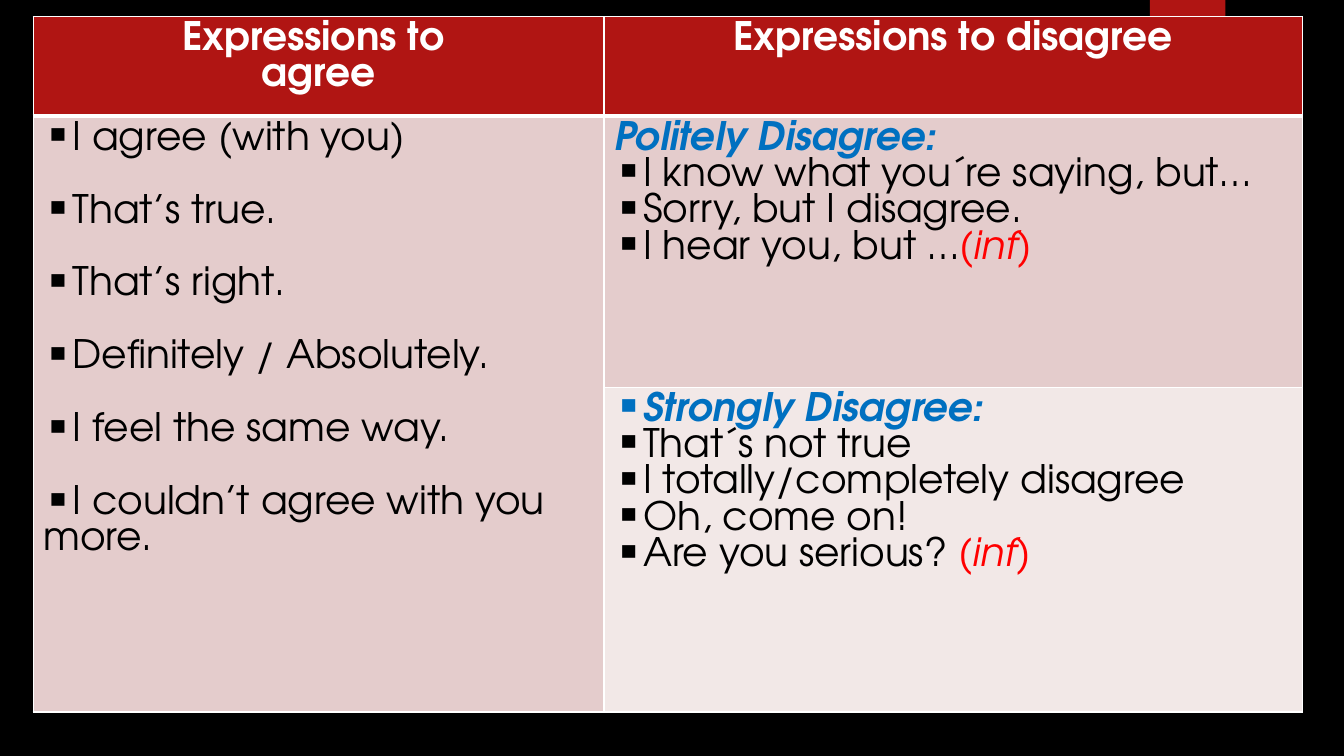
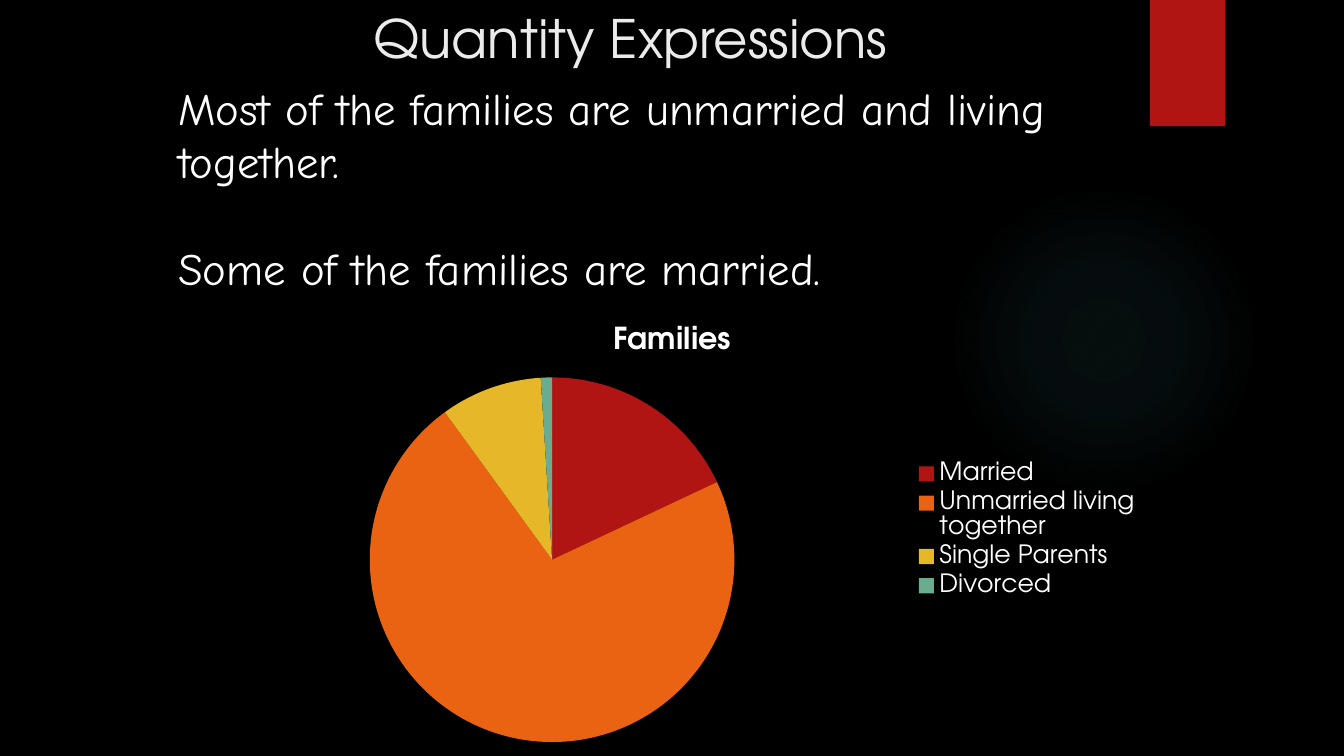
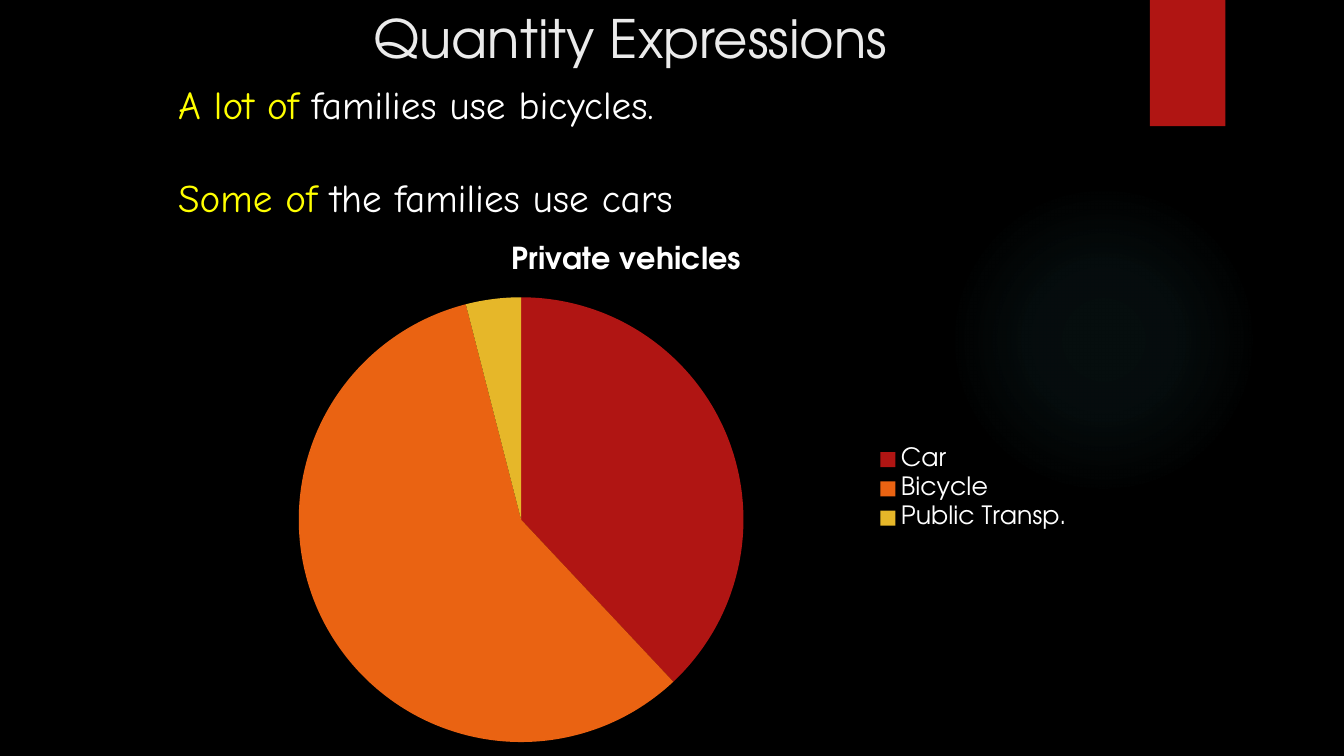
"""Build three slides on agreeing, disagreeing and quantity expressions."""
import lxml.etree
import pptx
import pptx.chart.data
import pptx.dml.color
import pptx.enum.chart
import pptx.enum.shapes
import pptx.enum.text
import pptx.oxml
import pptx.oxml.ns
import pptx.util

Cm = pptx.util.Cm
Pt = pptx.util.Pt
qn = pptx.oxml.ns.qn
CENTER = pptx.enum.text.PP_ALIGN.CENTER

HUES = {
    "black": "000000", "white": "FFFFFF", "pale": "EBEBEB", "red": "B01513",
    "orange": "EA6312", "gold": "E6B729", "green": "6AAC90", "teal": "50B9C1",
    "blue": "0070C0", "bright": "FF0000", "yellow": "FFFF00",
    "rose": "E4CCCC", "blush": "F2E8E7",
}
SLICES = ("red", "orange", "gold", "green")
SANS = "TeX Gyre Adventor"
HAND = "Comic Neue"
LOOKS = {
    "head": ("white", True, False),
    "topic": ("blue", True, True),
    "say": ("black", False, False),
    "slang": ("bright", False, True),
    "title": ("pale", False, False),
    "plain": ("white", False, False),
    "key": ("yellow", False, False),
}


def rgb(hue):
    """Return the named colour."""
    return pptx.dml.color.RGBColor.from_string(HUES[hue])


def paint(fill, hue):
    """Fill with one colour."""
    fill.solid()
    fill.fore_color.rgb = rgb(hue)


def node(body):
    """Parse one drawing element, given without its outer prefix."""
    tag, rest = body.split(None, 1)
    return pptx.oxml.parse_xml(f"<a:{tag} {pptx.oxml.ns.nsdecls('a')} {rest}")


def style(font, look):
    """Apply a look's colour, weight and slant to a font."""
    hue, font.bold, font.italic = LOOKS[look]
    font.color.rgb = rgb(hue)


def write(frame, lines, face, size, gap=0, align=None, dots=None):
    """Write lines of (text, look) parts, with bullets from line number dots on."""
    for num, parts in enumerate(lines):
        par = frame.add_paragraph() if num else frame.paragraphs[0]
        par.alignment = align
        if num and gap:
            par.space_before = Pt(gap)
        if dots is not None and num >= dots:
            hue = HUES[LOOKS[parts[0][1]][0]]
            props = par._p.get_or_add_pPr()
            props.append(node(f'buClr ><a:srgbClr val="{hue}"/></a:buClr>'))
            props.append(node('buChar char="▪"/>'))
        par.font.name, par.font.size = face, Pt(size)
        for text, look in parts:
            run = par.add_run()
            run.text = text
            style(par.font if len(parts) == 1 else run.font, look)


def add_decor(prs, slide):
    """Put the background, glow and red tab on the master by way of a slide."""
    master = prs.slide_master
    paint(master.background.fill, "black")
    kinds = pptx.enum.shapes.MSO_SHAPE
    glow = slide.shapes.add_shape(kinds.OVAL, Cm(23.9), Cm(4.65), Cm(7.82), Cm(7.82))
    tab = slide.shapes.add_shape(kinds.RECTANGLE, Cm(28.98), 0, Cm(1.9), Cm(3.18))
    stops = "".join(
        f'<a:gs pos="{pos}000"><a:srgbClr val="{HUES["teal"]}">'
        f'<a:alpha val="{alpha}000"/></a:srgbClr></a:gs>'
        for pos, alpha in ((0, 7), (36, 6), (69, 0)))
    glow.shadow.inherit = False
    glow._element.spPr.insert(2, node(
        f'gradFill ><a:gsLst>{stops}</a:gsLst><a:path path="circle">'
        '<a:fillToRect l="50000" t="50000" r="50000" b="50000"/></a:path></a:gradFill>'))
    tab.shadow.inherit = False
    paint(tab.fill, "red")
    tab._element.spPr.find(qn("a:effectLst")).append(node(
        f'outerShdw blurRad="{Pt(3)}" dist="{Pt(2)}" dir="5400000">'
        f'<a:srgbClr val="{HUES["black"]}"><a:alpha val="45000"/></a:srgbClr></a:outerShdw>'))
    for num, shape in enumerate((glow, tab)):
        shape.line.fill.background()
        shape._element.nvSpPr.cNvPr.set("id", str(100 + num))
        master.shapes.element.insert(2 + num, shape._element)


def fill_cell(cell, hue, head=False):
    """Give a cell its white borders and fill."""
    props = cell._tc.get_or_add_tcPr()
    for side in "LRTB":
        wide = Pt(3 if head and side == "B" or not head and side == "T" and hue is None else 1)
        props.append(node(
            f'ln{side} w="{wide}"><a:solidFill><a:srgbClr val="{HUES["white"]}"/>'
            f'</a:solidFill></a:ln{side}>'))
    paint(cell.fill, hue)


def add_grid(slide):
    """Add the table of expressions to agree and to disagree."""
    cols, rows = (14.38, 17.6), (2.51, 6.83, 8.18)
    grid = slide.shapes.add_table(
        3, 2, Cm(0.84), Cm(0.42), Cm(sum(cols)), Cm(sum(rows))).table
    for col, width in zip(grid.columns, cols):
        col.width = Cm(width)
    for row, height, hue in zip(grid.rows, rows, ("red", "rose", "blush")):
        row.height = Cm(height)
        for cell in row.cells:
            fill_cell(cell, hue, hue == "red")
    grid.cell(1, 0).merge(grid.cell(2, 0))
    agree = ("I agree (with you)", "That’s true.", "That’s right.",
             "Definitely / Absolutely.", "I feel the same way.",
             "I couldn’t agree with you more.")
    polite = ("I know what you´re saying, but…", "Sorry, but I disagree.")
    strong = ("That´s not true", "I totally/completely disagree", "Oh, come on!")

    def say(texts):
        """Turn texts into spoken lines."""
        return [[(text, "say")] for text in texts]

    def put(row, col, lines, **more):
        """Write lines into one cell."""
        write(grid.cell(row, col).text_frame, lines, SANS, 28, **more)

    put(0, 0, [[("Expressions to ", "head")], [("agree", "head")]], align=CENTER)
    put(0, 1, [[("Expressions to disagree", "head")]], align=CENTER)
    put(1, 0, say(agree), gap=26, dots=0)
    put(1, 1, [[("Politely Disagree:", "topic")], *say(polite),
               [("I hear you, but …", "say"), ("(inf)", "slang")]], dots=1)
    put(2, 1, [[("Strongly Disagree:", "topic")], *say(strong),
               [("Are you serious? ", "say"), ("(inf)", "slang")]], dots=0)


def add_title(slide, text):
    """Place and format the title."""
    title = slide.shapes.title
    title.left, title.top, title.width, title.height = Cm(5.51), 0, Cm(20.75), Cm(1.9)
    title.text_frame.vertical_anchor = pptx.enum.text.MSO_ANCHOR.MIDDLE
    write(title.text_frame, [[(text, "title")]], SANS, 37.8, align=CENTER)


def add_text(slide, lines, size, height):
    """Add the example sentences, one empty line apart."""
    frame = slide.shapes.add_textbox(Cm(4.24), Cm(1.9), Cm(24.33), Cm(height)).text_frame
    frame.word_wrap = True
    frame.auto_size = pptx.enum.text.MSO_AUTO_SIZE.SHAPE_TO_FIT_TEXT
    write(frame, lines, HAND, size, gap=round(size * 1.19))


def add_pie(slide, name, parts, box):
    """Add a pie chart with its title and legend."""
    data = pptx.chart.data.CategoryChartData()
    data.categories = list(parts)
    data.add_series(name, list(parts.values()))
    chart = slide.shapes.add_chart(
        pptx.enum.chart.XL_CHART_TYPE.PIE, *map(Cm, box), data).chart
    chart.font.name, chart.font.size = SANS, Pt(18)
    chart.font.color.rgb = rgb("white")
    chart.has_title = True
    write(chart.chart_title.text_frame, [[(name, "head")]], SANS, 21.6)
    chart.chart_title.include_in_layout = False
    chart.has_legend = True
    chart.legend.position = pptx.enum.chart.XL_LEGEND_POSITION.RIGHT
    chart.legend.include_in_layout = False
    plot = chart.plots[0]
    plot.vary_by_categories = True
    for num, hue in enumerate(SLICES[:len(parts)]):
        paint(plot.series[0].points[num].format.fill, hue)


def main():
    """Build and save the slides."""
    prs = pptx.Presentation()
    prs.slide_width, prs.slide_height = Cm(33.87), Cm(19.05)
    plain, named = prs.slide_layouts[6], prs.slide_layouts[5]

    slide = prs.slides.add_slide(plain)
    add_decor(prs, slide)
    add_grid(slide)

    slide = prs.slides.add_slide(named)
    add_title(slide, "Quantity Expressions")
    add_pie(slide, "Families",
            {"Married": 18, "Unmarried living together": 72,
             "Single Parents": 9, "Divorced": 1},
            (4.88, 7.65, 24.13, 11.4))
    add_text(slide, [
        [("Most of the families are unmarried and living together.", "plain")],
        [("Some of the families are married.", "plain")]], 32, 5.74)

    slide = prs.slides.add_slide(named)
    add_title(slide, "Quantity Expressions")
    add_pie(slide, "Private vehicles",
            {"Car": 38, "Bicycle": 58, "Public Transp.": 4},
            (4.29, 5.59, 23.01, 13.46))
    add_text(slide, [
        [("A lot of ", "key"), ("families use bicycles.", "plain")],
        [("Some of ", "key"), ("the families use cars", "plain")]], 28, 5.05)

    prs.save("out.pptx")


if __name__ == "__main__":
    main()
